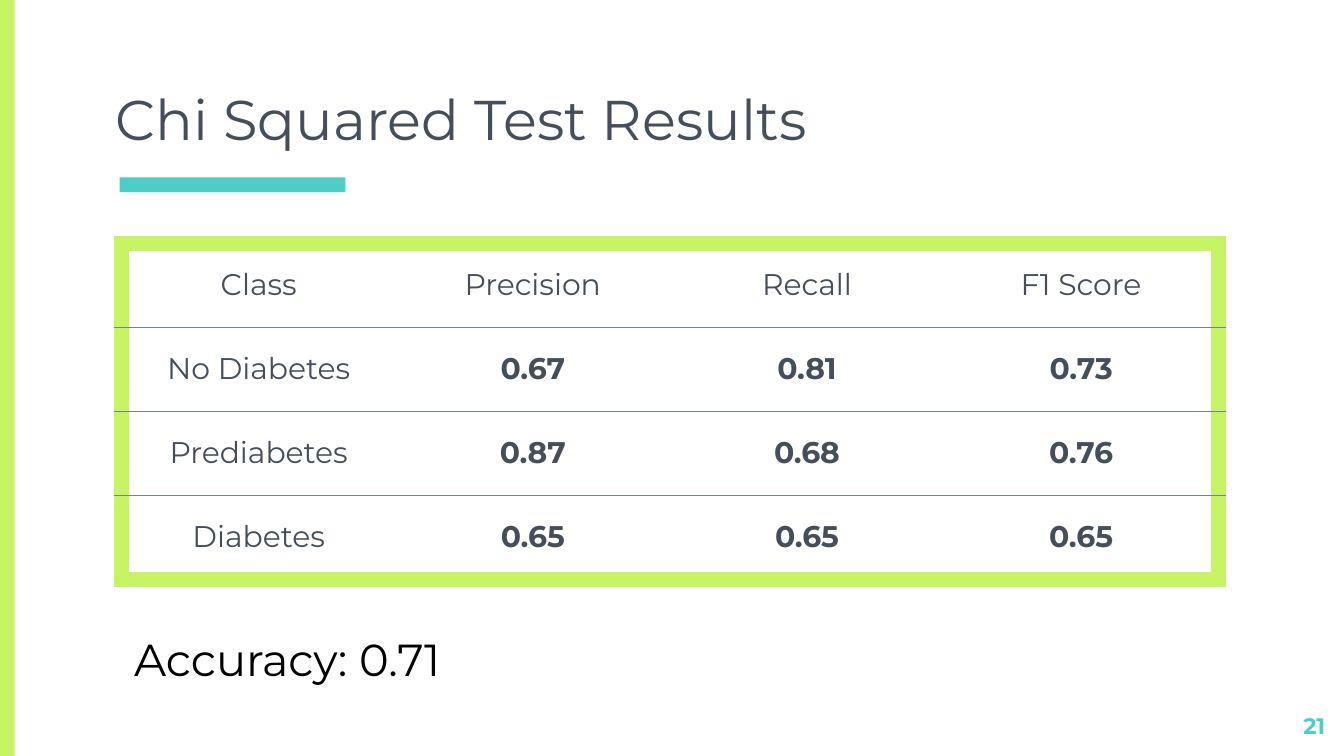
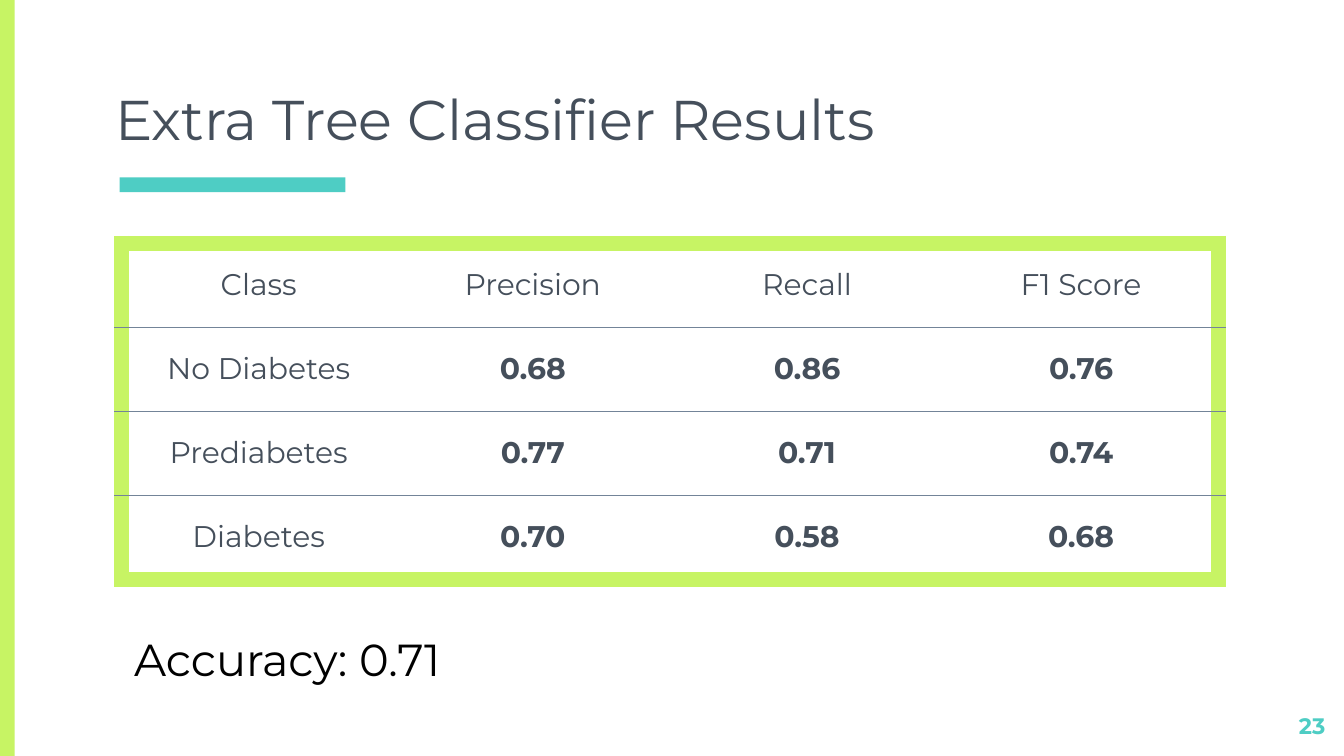
from dataclasses import dataclass

from lxml import etree
from pptx import Presentation
from pptx.dml.color import RGBColor
from pptx.enum.shapes import MSO_SHAPE
from pptx.enum.text import MSO_ANCHOR, MSO_AUTO_SIZE, PP_ALIGN
from pptx.oxml.ns import qn
from pptx.util import Pt

RECT = MSO_SHAPE.RECTANGLE
TOP, MIDDLE, BOTTOM = MSO_ANCHOR.TOP, MSO_ANCHOR.MIDDLE, MSO_ANCHOR.BOTTOM
LEFT, CENTER, RIGHT = PP_ALIGN.LEFT, PP_ALIGN.CENTER, PP_ALIGN.RIGHT
FIXED, GROW = MSO_AUTO_SIZE.NONE, MSO_AUTO_SIZE.SHAPE_TO_FIT_TEXT

PX = 4572  # EMU per px, 200 px to the inch
WIDTH, HEIGHT = 2000, 1125
BLANK = 6


@dataclass(frozen=True)
class Theme:
    font: str = "Montserrat"
    paper: str = "FFFFFF"
    ink: str = "454F5B"
    black: str = "000000"
    teal: str = "4ECDC4"
    lime: str = "C7F464"
    rule: str = "738498"
    title: int = 30
    body: int = 16
    note: int = 24
    number: int = 12
    frame_width: float = 9
    rule_width: float = 0.75


HEAD = ["Class", "Precision", "Recall", "F1 Score"]
RESULTS = [
    ("Chi Squared Test Results", 21, "0.71", [
        ["No Diabetes", "0.67", "0.81", "0.73"],
        ["Prediabetes", "0.87", "0.68", "0.76"],
        ["Diabetes", "0.65", "0.65", "0.65"],
    ]),
    ("Extra Tree Classifier Results", 23, "0.71", [
        ["No Diabetes", "0.68", "0.86", "0.76"],
        ["Prediabetes", "0.77", "0.71", "0.74"],
        ["Diabetes", "0.70", "0.58", "0.68"],
    ]),
]


def assign(target, values):
    for name, value in values.items():
        setattr(target, name, value)


def border(cell, side, line):
    """Draw one side (L, R, T or B) as (colour, points), or clear it when None."""
    edge = etree.SubElement(cell._tc.get_or_add_tcPr(), qn(f"a:ln{side}"))
    if line is None:
        edge.set("w", "0")
        etree.SubElement(edge, qn("a:noFill"))
        return
    color, width = line
    edge.set("w", str(Pt(width)))
    fill = etree.SubElement(edge, qn("a:solidFill"))
    etree.SubElement(fill, qn("a:srgbClr")).set("val", color)


class Deck:
    def __init__(self, theme):
        self.theme = theme
        self.file = Presentation()
        self.file.slide_width = WIDTH * PX
        self.file.slide_height = HEIGHT * PX
        self.slide = None

    def start(self, title, number):
        """Add a slide with the shared bars, title and page number."""
        look = self.theme
        self.slide = self.file.slides.add_slide(self.file.slide_layouts[BLANK])
        fill = self.slide.background.fill
        fill.solid()
        fill.fore_color.rgb = RGBColor.from_string(look.paper)
        self.bar((178, 264, 336, 22), look.teal)
        self.bar((0, 0, 22, HEIGHT), look.lime)
        self.text((152, 34, 1698, 212), title, look.title, look.ink, anchor=BOTTOM)
        self.text((1872, 1040, 120, 68), str(number), look.number, look.teal,
                  bold=True, align=RIGHT)

    def bar(self, box, color):
        shape = self.slide.shapes.add_shape(RECT, *(n * PX for n in box))
        shape.shadow.inherit = False
        shape.fill.solid()
        shape.fill.fore_color.rgb = RGBColor.from_string(color)
        shape.line.fill.background()

    def label(self, frame, words, size, color, bold=False, align=LEFT):
        """Put one styled run into a text frame."""
        line = frame.paragraphs[0]
        line.alignment = align
        run = line.add_run()
        run.text = words
        assign(run.font, {"name": self.theme.font, "size": Pt(size), "bold": bold})
        run.font.color.rgb = RGBColor.from_string(color)

    def text(self, box, words, size, color, bold=False, align=LEFT,
             anchor=TOP, fit=FIXED):
        frame = self.slide.shapes.add_textbox(*(n * PX for n in box)).text_frame
        pad = 20 * PX
        assign(frame, {
            "word_wrap": True, "auto_size": fit, "vertical_anchor": anchor,
            "margin_left": pad, "margin_right": pad,
            "margin_top": pad, "margin_bottom": pad,
        })
        self.label(frame, words, size, color, bold, align)

    def table(self, left, top, wide, high, rows):
        """Lay out rows of equal cells inside a thick frame."""
        look = self.theme
        frame = (look.lime, look.frame_width)
        rule = (look.rule, look.rule_width)
        down, across = len(rows), len(rows[0])
        grid = self.slide.shapes.add_table(
            down, across, left * PX, top * PX,
            across * wide * PX, down * high * PX).table
        assign(grid, {"first_row": False, "horz_banding": False})
        for column in grid.columns:
            column.width = wide * PX
        for r, row in enumerate(rows):
            grid.rows[r].height = high * PX
            for c, words in enumerate(row):
                cell = grid.cell(r, c)
                assign(cell, {
                    "vertical_anchor": MIDDLE,
                    "margin_left": 20 * PX, "margin_right": 20 * PX,
                    "margin_top": 14 * PX, "margin_bottom": 14 * PX,
                })
                border(cell, "L", frame if c == 0 else None)
                border(cell, "R", frame if c == across - 1 else None)
                border(cell, "T", frame if r == 0 else rule)
                border(cell, "B", frame if r == down - 1 else rule)
                cell.fill.background()
                self.label(cell.text_frame, words, look.body, look.ink,
                           bold=r > 0 and c > 0, align=CENTER)


def main():
    deck = Deck(Theme())
    look = deck.theme
    for title, number, score, rows in RESULTS:
        deck.start(title, number)
        deck.table(181, 362, 408, 125, [HEAD] + rows)
        deck.text((180, 920, 1326, 122), f"Accuracy: {score}",
                  look.note, look.black, fit=GROW)
    deck.file.save("out.pptx")


if __name__ == "__main__":
    main()
